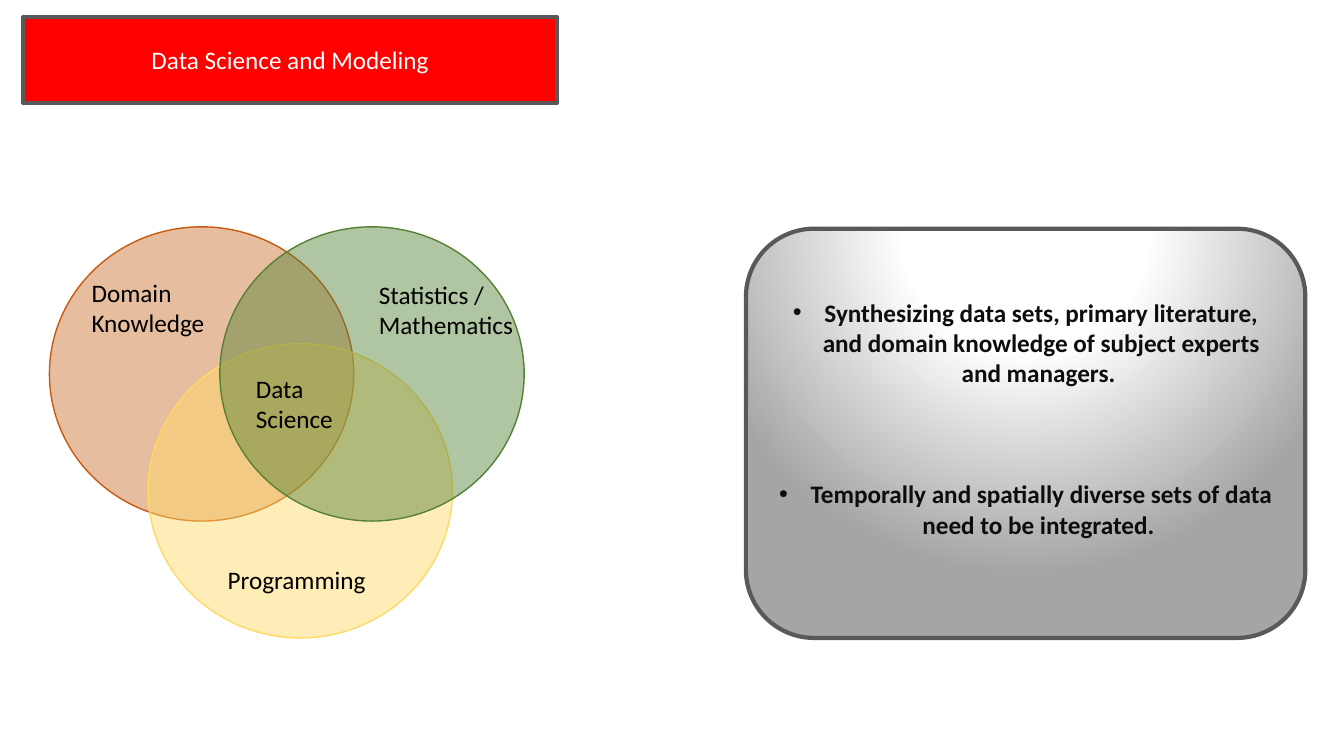
from pptx import Presentation
from pptx import util as u
from pptx.dml.color import RGBColor
from pptx.enum import shapes, text
from pptx.oxml import parse_xml
from pptx.oxml.ns import nsdecls, qn


def color(value):
    return RGBColor.from_string(value)


def element(tag, attributes="", content=""):
    return parse_xml(f"<a:{tag} {nsdecls('a')} {attributes}>{content}</a:{tag}>")


class VennSlide:
    font = "Calibri"
    size = 18
    border = "595959"

    def __init__(self, presentation):
        self.slide = presentation.slides.add_slide(presentation.slide_layouts[5])

    def outline(self, shape, value, width):
        shape.line.color.rgb = color(value)
        shape.line.width = u.Pt(width)

    def format_text(self, frame, value, align, bold=False):
        for paragraph in frame.paragraphs:
            paragraph.alignment = align
            for run in paragraph.runs:
                run.font.name = self.font
                run.font.size = u.Pt(self.size)
                run.font.bold = bold
                run.font.color.rgb = color(value)

    def add_shape(self, kind, left, top, width, height):
        shape = self.slide.shapes.add_shape(
            kind, u.Pt(left), u.Pt(top), u.Pt(width), u.Pt(height))
        shape.shadow.inherit = False
        return shape

    def title(self, words, left, top, width, height):
        shape = self.slide.shapes.title
        shape.left, shape.top = u.Pt(left), u.Pt(top)
        shape.width, shape.height = u.Pt(width), u.Pt(height)
        shape._element.spPr.append(element("prstGeom", 'prst="roundRect"', "<a:avLst/>"))
        shape.fill.solid()
        shape.fill.fore_color.rgb = color("FF0000")
        self.outline(shape, self.border, 3)
        frame = shape.text_frame
        frame.text = words
        frame.auto_size = text.MSO_AUTO_SIZE.NONE
        frame.vertical_anchor = text.MSO_ANCHOR.MIDDLE
        self.format_text(frame, "FFFFFF", text.PP_ALIGN.CENTER)

    def circle(self, value, opacity, left, top, width, height):
        shape = self.add_shape(shapes.MSO_SHAPE.OVAL, left, top, width, height)
        shape.fill.solid()
        shape.fill.fore_color.rgb = color(value)
        fill = shape._element.spPr.find(qn("a:solidFill"))
        fill[0].append(element("alpha", f'val="{opacity * 1000}"'))
        self.outline(shape, value, 1)

    def label(self, words, left, top, width, height):
        box = self.slide.shapes.add_textbox(
            u.Pt(left), u.Pt(top), u.Pt(width), u.Pt(height))
        frame = box.text_frame
        frame.word_wrap = True
        frame.auto_size = text.MSO_AUTO_SIZE.SHAPE_TO_FIT_TEXT
        frame.text = words
        self.format_text(frame, "000000", text.PP_ALIGN.LEFT)

    def bullet_panel(self, points, gap, left, top, width, height):
        shape = self.add_shape(
            shapes.MSO_SHAPE.ROUNDED_RECTANGLE, left, top, width, height)
        stops = "".join(
            f'<a:gs pos="{position * 1000}"><a:srgbClr val="{value}"/></a:gs>'
            for position, value in ((0, "FFFFFF"), (35, "FFFFFF"), (100, "A5A5A5")))
        focus = '<a:fillToRect l="50000" t="-80000" r="50000" b="180000"/>'
        gradient = element(
            "gradFill", 'rotWithShape="1"',
            f'<a:gsLst>{stops}</a:gsLst><a:path path="circle">{focus}</a:path>')
        shape.fill.background()
        properties = shape._element.spPr
        properties.replace(properties.find(qn("a:noFill")), gradient)
        self.outline(shape, self.border, 3)
        frame = shape.text_frame
        frame.word_wrap = True
        frame.vertical_anchor = text.MSO_ANCHOR.MIDDLE
        frame.margin_bottom = u.Pt(25.5)
        frame.text = "\n".join(points)
        self.format_text(frame, "0D0D0D", text.PP_ALIGN.CENTER, True)
        for paragraph in frame.paragraphs:
            settings = paragraph._p.get_or_add_pPr()
            settings.set("marL", str(u.Pt(22.5)))
            settings.set("indent", str(u.Pt(-22.5)))
            settings.append(element("buFont", 'typeface="Arial"'))
            settings.append(element("buChar", 'char="•"'))
        for paragraph in frame.paragraphs[1:]:
            paragraph.space_before = u.Pt(gap)


def main():
    presentation = Presentation()
    presentation.slide_width = u.Pt(960)
    presentation.slide_height = u.Pt(540)
    venn = VennSlide(presentation)

    venn.title("Data Science and Modeling", 16.5, 12.2, 381.6, 61.2)
    venn.bullet_panel(
        ["Synthesizing data sets, primary literature, and domain knowledge "
         "of subject experts and managers. ",
         "Temporally and spatially diverse sets of data need to be integrated. "],
        65, 532.8, 163.4, 399.6, 292.3)

    for value, opacity, left, top in (
            ("C55A11", 40, 35.3, 162),
            ("FFD966", 47, 105.8, 245.5),
            ("548235", 46, 157, 162)):
        venn.circle(value, opacity, left, top, 217.4, 210.2)

    for words, left, top, height in (
            ("Programming", 155.5, 399.6, 29),
            ("Statistics /\vMathematics", 263.5, 195.8, 51),
            ("Domain Knowledge", 58.3, 194.4, 51),
            ("Data\nScience", 175.7, 262.8, 51)):
        venn.label(words, left, top, 138.2, height)

    presentation.save("out.pptx")


if __name__ == "__main__":
    main()
